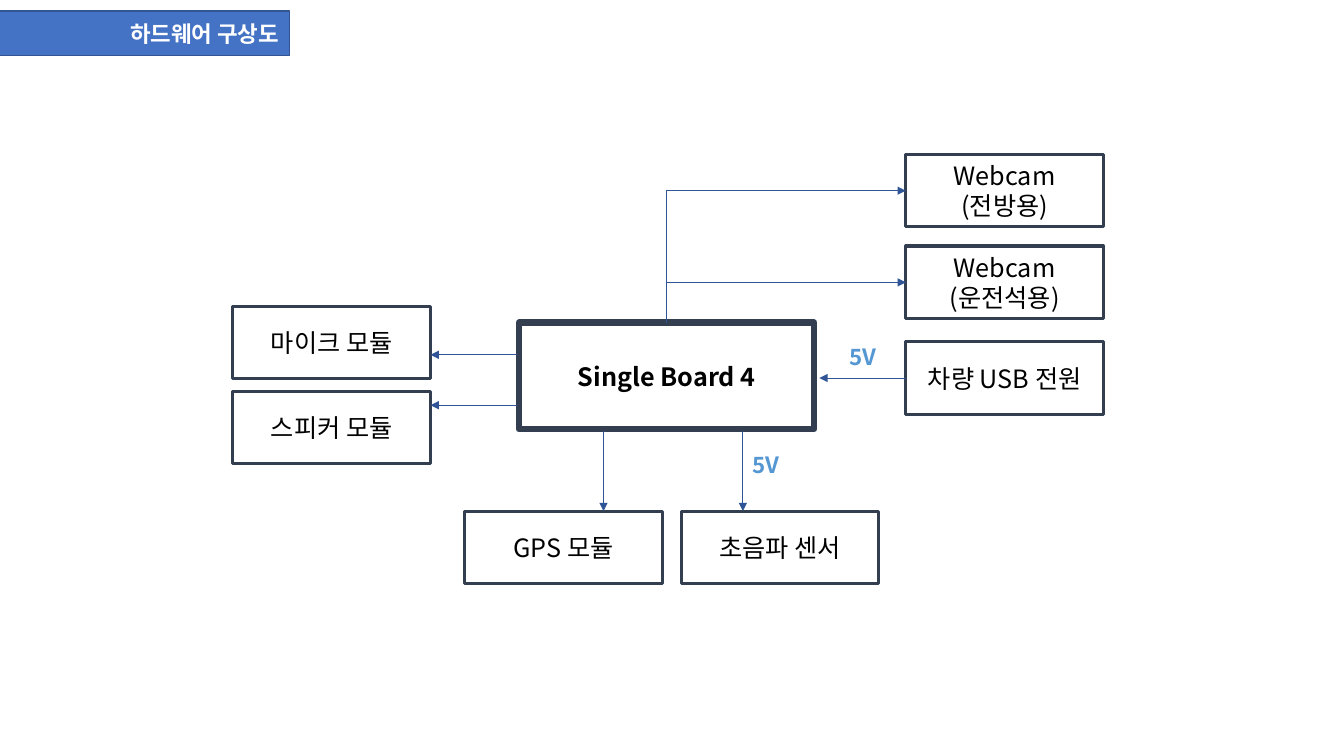
import pptx
import pptx.util
import pptx.dml.color
import pptx.enum.shapes
import pptx.enum.text
import pptx.oxml
import pptx.oxml.ns
from lxml import etree
from dataclasses import dataclass

Cm, Pt = pptx.util.Cm, pptx.util.Pt
Align, Anchor = pptx.enum.text.PP_ALIGN, pptx.enum.text.MSO_ANCHOR
Connector = pptx.enum.shapes.MSO_CONNECTOR
qn = pptx.oxml.ns.qn


@dataclass(frozen=True)
class Theme:
    font: str = "Noto Sans CJK KR"
    ink: str = "000000"
    paper: str = "FFFFFF"
    frame: str = "333F50"
    arrow: str = "2F5597"
    voltage: str = "5497D3"
    banner: str = "4472C4"
    banner_edge: str = "325491"
    body_size: int = 18
    small_size: int = 16


theme = Theme()

# Content: lengths in cm
heading = "하드웨어 구상도"
controller = "Single Board 4"
left_modules = [("마이크 모듈", 7.72), ("스피커 모듈", 9.86)]
right_modules = [("Webcam\n(전방용)", 3.89), ("Webcam\n(운전석용)", 6.2),
                 ("차량 USB 전원", 8.61)]
bottom_modules = [("GPS 모듈", 11.71), ("초음파 센서", 17.17)]
voltages = [("5V", 19.53, 8.53), ("5V", 17.09, 11.25)]

# Layout
module_w, module_h = 4.98, 1.83
left_x, right_x, bottom_y = 5.87, 22.83, 12.88
board_x, board_y, board_w, board_h = 13.08, 8.13, 7.44, 2.69
board_center = board_x + board_w / 2
front_cam_y, driver_cam_y, power_y = (y + module_h / 2 for _, y in right_modules)
audio_arrow_ys = [8.94, 10.21]
sensor_arrow_xs = [15.21, 18.72]
gap = 0.05

prs = pptx.Presentation()
prs.slide_width, prs.slide_height = Cm(33.87), Cm(19.05)
slide = prs.slides.add_slide(prs.slide_layouts[5])


def rgb(value):
    return pptx.dml.color.RGBColor.from_string(value)


def write(shape, text, size, color, bold=False, align=Align.CENTER,
          anchor=Anchor.MIDDLE):
    frame = shape.text_frame
    frame.word_wrap = True
    frame.vertical_anchor = anchor
    for i, words in enumerate(text.split("\n")):
        paragraph = frame.add_paragraph() if i else frame.paragraphs[0]
        paragraph.alignment = align
        run = paragraph.add_run()
        run.text = words
        run.font.name, run.font.size, run.font.bold = theme.font, Pt(size), bold
        run.font.color.rgb = rgb(color)
        east_asian = etree.SubElement(run.font._element, qn("a:ea"))
        east_asian.set("typeface", theme.font)


def outline(shape, color, width):
    shape.line.color.rgb = rgb(color)
    shape.line.width = Pt(width)


def add_box(text, x, y, w=module_w, h=module_h, width=2.25, bold=False):
    box = slide.shapes.add_shape(pptx.enum.shapes.MSO_SHAPE.RECTANGLE,
                                 Cm(x), Cm(y), Cm(w), Cm(h))
    box.shadow.inherit = False
    box.fill.background()
    outline(box, theme.frame, width)
    write(box, text, theme.body_size, theme.ink, bold)


def add_arrow(x1, y1, x2, y2, kind=Connector.STRAIGHT, end="a:tailEnd"):
    arrow = slide.shapes.add_connector(kind, Cm(x1), Cm(y1), Cm(x2), Cm(y2))
    outline(arrow, theme.arrow, 0.5)
    properties = arrow._element.spPr
    etree.SubElement(properties.find(qn("a:ln")), qn(end)).set("type", "triangle")
    etree.SubElement(properties, qn("a:effectLst"))
    return arrow


# Heading banner
title = slide.shapes.title
title.left, title.top, title.width, title.height = Cm(-0.23), Cm(0.28), Cm(7.52), Cm(1.12)
title.fill.solid()
title.fill.fore_color.rgb = rgb(theme.banner)
outline(title, theme.banner_edge, 1)
write(title, heading, theme.small_size, theme.paper, True, Align.RIGHT)

# Controller and modules
add_box(controller, board_x, board_y, board_w, board_h, width=4.5, bold=True)
for text, y in left_modules:
    add_box(text, left_x, y)
for text, y in right_modules:
    add_box(text, right_x, y)
for text, x in bottom_modules:
    add_box(text, x, bottom_y)

# Arrows: the front camera link turns one corner, its head is at the camera
camera_link = add_arrow(right_x, front_cam_y, board_center, board_y,
                        Connector.ELBOW, "a:headEnd")
camera_link._element.spPr.find(qn("a:prstGeom")).set("prst", "bentConnector2")
add_arrow(board_center, driver_cam_y, right_x, driver_cam_y)
add_arrow(right_x, power_y, board_x + board_w + 0.13, power_y)
for y in audio_arrow_ys:
    add_arrow(board_x - gap, y, left_x + module_w, y)
for x in sensor_arrow_xs:
    add_arrow(x, board_y + board_h + gap, x, bottom_y)

# Voltage labels
for text, x, y in voltages:
    label = slide.shapes.add_textbox(Cm(x), Cm(y), Cm(4.42), Cm(0.94))
    write(label, text, theme.small_size, theme.voltage, True, anchor=Anchor.TOP)

prs.save("out.pptx")
